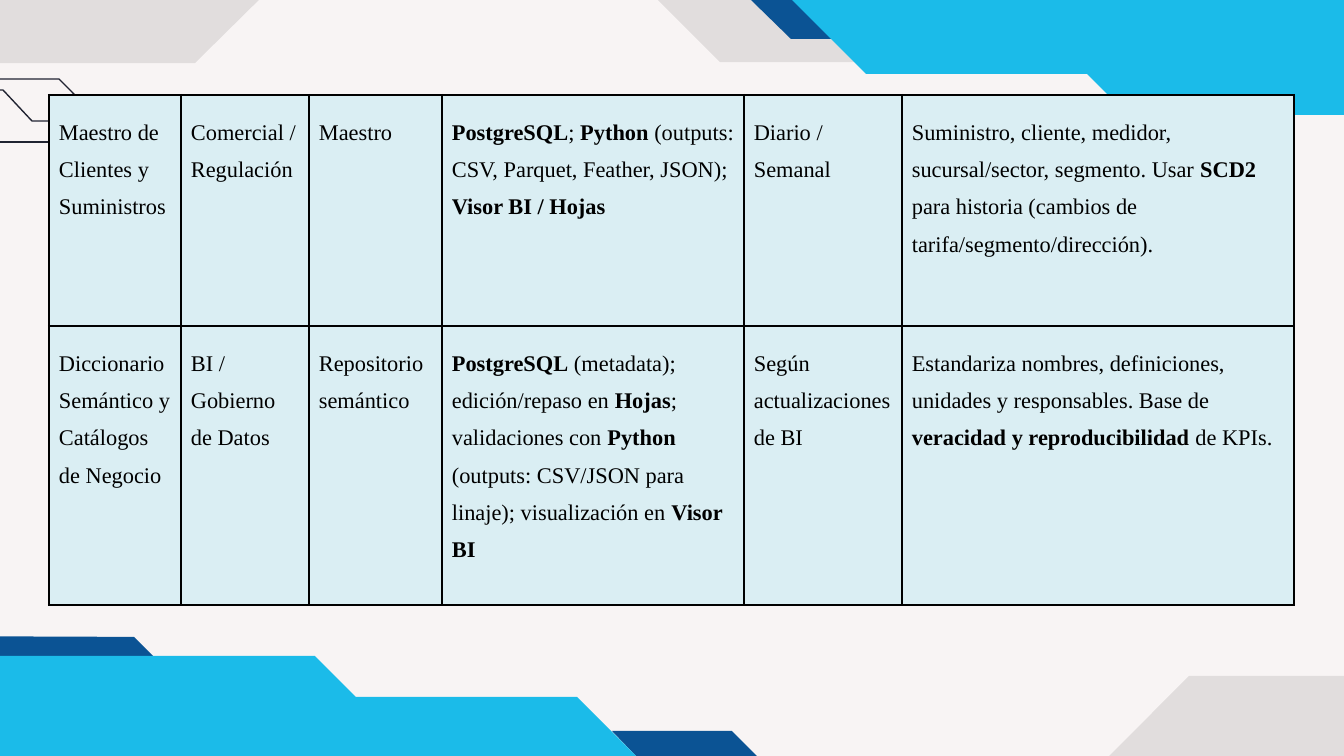
from pptx import Presentation
from pptx.dml.color import RGBColor
from pptx.enum.shapes import MSO_CONNECTOR as Link
from pptx.oxml import parse_xml
from pptx.oxml.ns import nsdecls
from pptx.util import Pt

SCALE = 9144000 / 1344
NS = nsdecls("a")


def px(n):
    return round(n * SCALE)


def tint(code):
    return RGBColor.from_string(code)


class Deck:
    font, size, ink = "Times New Roman", 12, "000000"
    cell, thin = "DAEEF3", "202331"

    def __init__(self, wide, high):
        self.prs = Presentation()
        self.prs.slide_width, self.prs.slide_height = px(wide), px(high)
        self.slide = self.prs.slides.add_slide(self.prs.slide_layouts[6])
        self.shapes = self.slide.shapes

    def back(self, color):
        fill = self.slide.background.fill
        fill.solid()
        fill.fore_color.rgb = tint(color)

    def outline(self, points, close):
        pen = self.shapes.build_freeform(*points[0], scale=SCALE)
        pen.add_line_segments(points[1:], close=close)
        shape = pen.convert_to_shape()
        shape.shadow.inherit = False
        return shape

    def block(self, points, color, alpha=100):
        shape = self.outline(points, True)
        shape.fill.solid()
        shape.fill.fore_color.rgb = tint(color)
        shape.line.fill.background()
        if alpha < 100:
            node = shape._element.spPr.find(".//{*}srgbClr")
            node.append(parse_xml(f'<a:alpha {NS} val="{alpha * 1000}"/>'))

    def stroke(self, line):
        line.color.rgb = tint(self.thin)
        line.width = Pt(0.75)

    def trace(self, points):
        shape = self.outline(points, False)
        shape.fill.background()
        self.stroke(shape.line)

    def rule(self, x1, y1, x2, y2):
        line = self.shapes.add_connector(
            Link.STRAIGHT, px(x1), px(y1), px(x2), px(y2))
        line._element.spPr.append(parse_xml(f"<a:effectLst {NS}/>"))
        self.stroke(line.line)

    def label(self, cell, text):
        """Fill a cell; every second part between bars is bold."""
        cell.margin_left = cell.margin_right = px(10)
        cell.margin_top = cell.margin_bottom = px(13)
        para = cell.text_frame.paragraphs[0]
        para.line_spacing = 1.5
        for i, part in enumerate(text.split("|")):
            if not part:
                continue
            run = para.add_run()
            run.text = part
            run.font.name, run.font.size = self.font, Pt(self.size)
            run.font.bold = i % 2 == 1
            run.font.color.rgb = tint(self.ink)

    def frame(self, cell):
        props = cell._tc.get_or_add_tcPr()
        for side in "LRTB":
            props.append(parse_xml(
                f'<a:ln{side} {NS} w="{Pt(1.5)}"><a:solidFill>'
                f'<a:srgbClr val="{self.ink}"/></a:solidFill></a:ln{side}>'))
        cell.fill.solid()
        cell.fill.fore_color.rgb = tint(self.cell)

    def table(self, left, top, cols, rows, texts):
        grid = self.shapes.add_table(
            len(rows), len(cols), px(left), px(top),
            px(sum(cols)), px(sum(rows))).table
        grid.first_row = grid.horz_banding = False
        for col, wide in zip(grid.columns, cols):
            col.width = px(wide)
        for row, high, line in zip(grid.rows, rows, texts):
            row.height = px(high)
            for cell, text in zip(row.cells, line):
                self.label(cell, text)
                self.frame(cell)


GREY, NAVY, CYAN = "000000", "0B5394", "1BBBE9"

GREYS = [
    [(195, 63), (347, -87), (571, -87), (720, 62), (1271, 62),
     (1271, -218), (-94, -218), (-94, 63)],
    [(1437, 676), (1437, 947), (919, 947), (1189, 676)],
]
NAVIES = [
    [(759, 758), (732, 731), (612, 731), (638, 758)],
    [(961, 39), (921, 0), (751, 0), (791, 39)],
    [(-108, 636), (134, 637), (160, 663), (-108, 661)],
]
CREST = [(1443, 115), (1443, -329), (692, -329), (692, -4),
         (788, -4), (866, 74), (1087, 74), (1128, 115)]
BASE = [(1443 - x, 771 - y) for x, y in CREST]
TRACES = [
    [(-198, 90), (3, 90), (32, 121), (219, 121)],
    [(-191, 79), (59, 79), (83, 103), (160, 103)],
]

SOURCES = [
    ["Maestro de Clientes y Suministros",
     "Comercial / Regulación",
     "Maestro",
     "|PostgreSQL|; |Python| (outputs: CSV, Parquet, Feather, JSON); "
     "|Visor BI / Hojas|",
     "Diario / Semanal",
     "Suministro, cliente, medidor, sucursal/sector, segmento. Usar |SCD2|"
     " para historia (cambios de tarifa/segmento/dirección)."],
    ["Diccionario Semántico y Catálogos de Negocio",
     "BI / Gobierno de Datos",
     "Repositorio semántico",
     "|PostgreSQL| (metadata); edición/repaso en |Hojas|; validaciones con "
     "|Python| (outputs: CSV/JSON para linaje); visualización en |Visor BI|",
     "Según actualizaciones de BI",
     "Estandariza nombres, definiciones, unidades y responsables. Base de "
     "|veracidad y reproducibilidad| de KPIs."],
]


def main():
    deck = Deck(1344, 756)
    deck.back("F8F4F4")
    for points in GREYS:
        deck.block(points, GREY, 9)
    for points in NAVIES:
        deck.block(points, NAVY)
    for points in (CREST, BASE):
        deck.block(points, CYAN)
    for points in TRACES:
        deck.trace(points)
    deck.rule(-188, 142, 249, 142)
    deck.table(49, 95, [132, 128, 133, 302, 158, 392], [231, 279], SOURCES)
    deck.prs.save("out.pptx")


if __name__ == "__main__":
    main()
